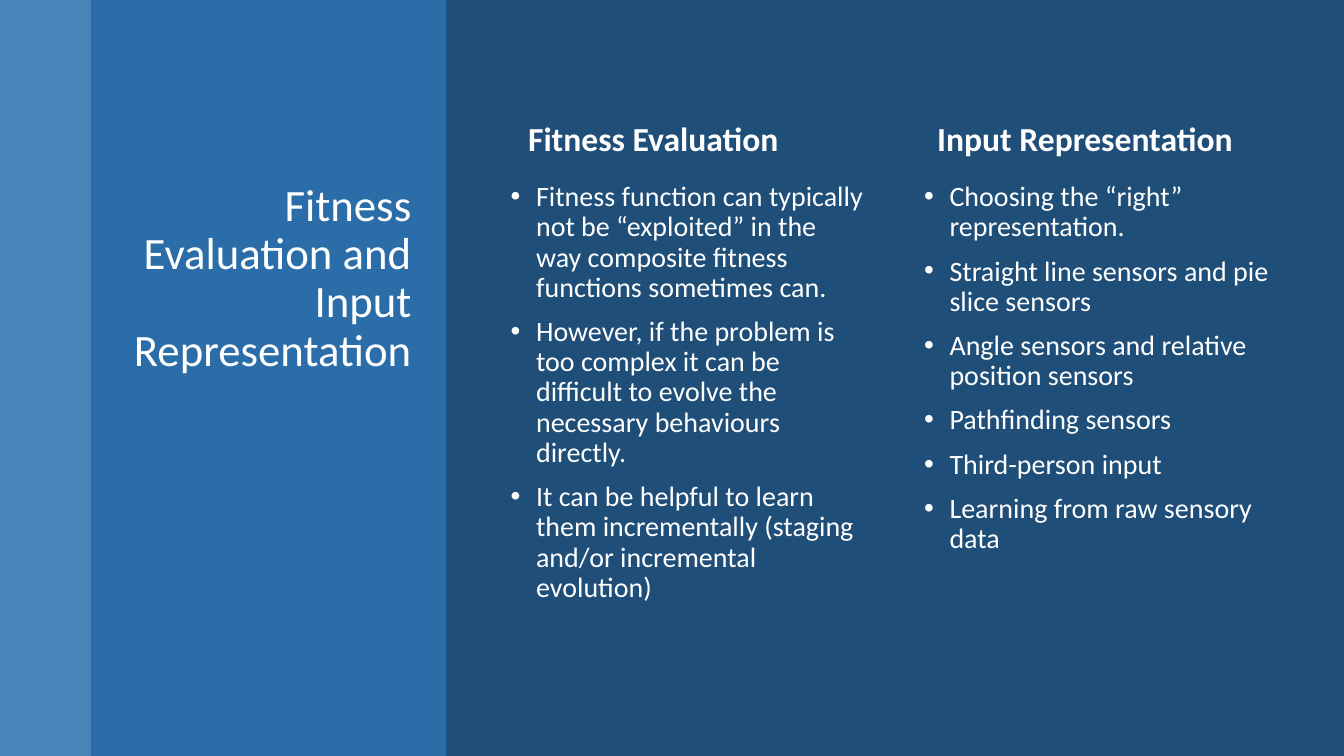
"""Build a slide on fitness evaluation and input representation."""
import dataclasses

import lxml.etree
import pptx
import pptx.dml.color
import pptx.enum.shapes
import pptx.enum.text
import pptx.oxml.ns
import pptx.slide
import pptx.text.text
import pptx.util

Cm = pptx.util.Cm
SLIDE_WIDTH, SLIDE_HEIGHT = 33.87, 19.05
CONTENT_TOP, CONTENT_HEIGHT = 4.47, 12.5
HEADING_TOP, HEADING_HEIGHT = 2.84, 1.27
COLUMN_WIDTH = 9.5
BULLET_INDENT = 0.64
WHITE = "FFFFFF"


@dataclasses.dataclass(frozen=True)
class Band:
    left: float
    width: float
    color: str
    opacity: int


@dataclasses.dataclass(frozen=True)
class Topic:
    heading: str
    heading_left: float
    points_left: float
    points: tuple[str, ...]


BANDS = (Band(0, 2.3, "5B9BD5", 70), Band(2.3, 8.95, "2E75B6", 80))
TOPICS = (
    Topic("Fitness Evaluation", 13.06, 12.62, (
        "Fitness function can typically not be “exploited” in the way composite "
        "fitness functions sometimes can.",
        "However, if the problem is too complex it can be difficult to evolve the "
        "necessary behaviours directly.",
        "It can be helpful to learn them incrementally (staging and/or incremental "
        "evolution)",
    )),
    Topic("Input Representation", 23.37, 23.04, (
        "Choosing the “right” representation.",
        "Straight line sensors and pie slice sensors",
        "Angle sensors and relative position sensors",
        "Pathfinding sensors",
        "Third-person input",
        "Learning from raw sensory data",
    )),
)


def rgb(color: str) -> pptx.dml.color.RGBColor:
    return pptx.dml.color.RGBColor.from_string(color)


def add_child(parent: lxml.etree._Element, tag: str, **attributes: str) -> None:
    child = lxml.etree.SubElement(parent, pptx.oxml.ns.qn(tag))
    for name, value in attributes.items():
        child.set(name, value)


def draw_band(slide: pptx.slide.Slide, band: Band) -> None:
    stripe = slide.shapes.add_shape(
        pptx.enum.shapes.MSO_SHAPE.RECTANGLE,
        Cm(band.left), Cm(0), Cm(band.width), Cm(SLIDE_HEIGHT))
    stripe.shadow.inherit = False
    stripe.line.fill.background()
    stripe.fill.solid()
    stripe.fill.fore_color.rgb = rgb(band.color)
    tint = stripe.fill._xPr.find(".//" + pptx.oxml.ns.qn("a:srgbClr"))
    add_child(tint, "a:alpha", val=str(band.opacity * 1000))


def write(slide: pptx.slide.Slide, left: float, top: float, width: float,
          height: float, lines: tuple[str, ...], size: int,
          bold: bool = False) -> tuple[pptx.text.text._Paragraph, ...]:
    frame = slide.shapes.add_textbox(
        Cm(left), Cm(top), Cm(width), Cm(height)).text_frame
    frame.word_wrap = True
    frame.text = "\n".join(lines)
    for paragraph in frame.paragraphs:
        paragraph.font.name = "Calibri"
        paragraph.font.size = pptx.util.Pt(size)
        paragraph.font.bold = bold
        paragraph.font.color.rgb = rgb(WHITE)
    return frame.paragraphs


def draw_topic(slide: pptx.slide.Slide, topic: Topic) -> None:
    points = write(slide, topic.points_left, CONTENT_TOP, COLUMN_WIDTH,
                   CONTENT_HEIGHT, topic.points, 20)
    for point in points:
        point.line_spacing = 0.9
        point.space_before = pptx.util.Pt(10)
        properties = point._p.get_or_add_pPr()
        properties.set("marL", str(Cm(BULLET_INDENT)))
        properties.set("indent", str(-Cm(BULLET_INDENT)))
        bullet = lxml.etree.Element(pptx.oxml.ns.qn("a:buChar"), char="•")
        typeface = lxml.etree.Element(pptx.oxml.ns.qn("a:buFont"), typeface="Arial")
        run_defaults = properties.find(pptx.oxml.ns.qn("a:defRPr"))
        run_defaults.addprevious(typeface)
        run_defaults.addprevious(bullet)
    write(slide, topic.heading_left, HEADING_TOP, COLUMN_WIDTH, HEADING_HEIGHT,
          (topic.heading,), 24, bold=True)


def main() -> None:
    deck = pptx.Presentation()
    deck.slide_width, deck.slide_height = Cm(SLIDE_WIDTH), Cm(SLIDE_HEIGHT)
    slide = deck.slides.add_slide(deck.slide_layouts[6])
    slide.background.fill.solid()
    slide.background.fill.fore_color.rgb = rgb("1F4E79")
    for band in BANDS:
        draw_band(slide, band)
    title, = write(slide, 2.77, CONTENT_TOP, 7.85, CONTENT_HEIGHT,
                   ("Fitness Evaluation and Input Representation",), 32)
    title.alignment = pptx.enum.text.PP_ALIGN.RIGHT
    title.line_spacing = 0.9
    for topic in TOPICS:
        draw_topic(slide, topic)
    deck.save("out.pptx")


if __name__ == "__main__":
    main()
